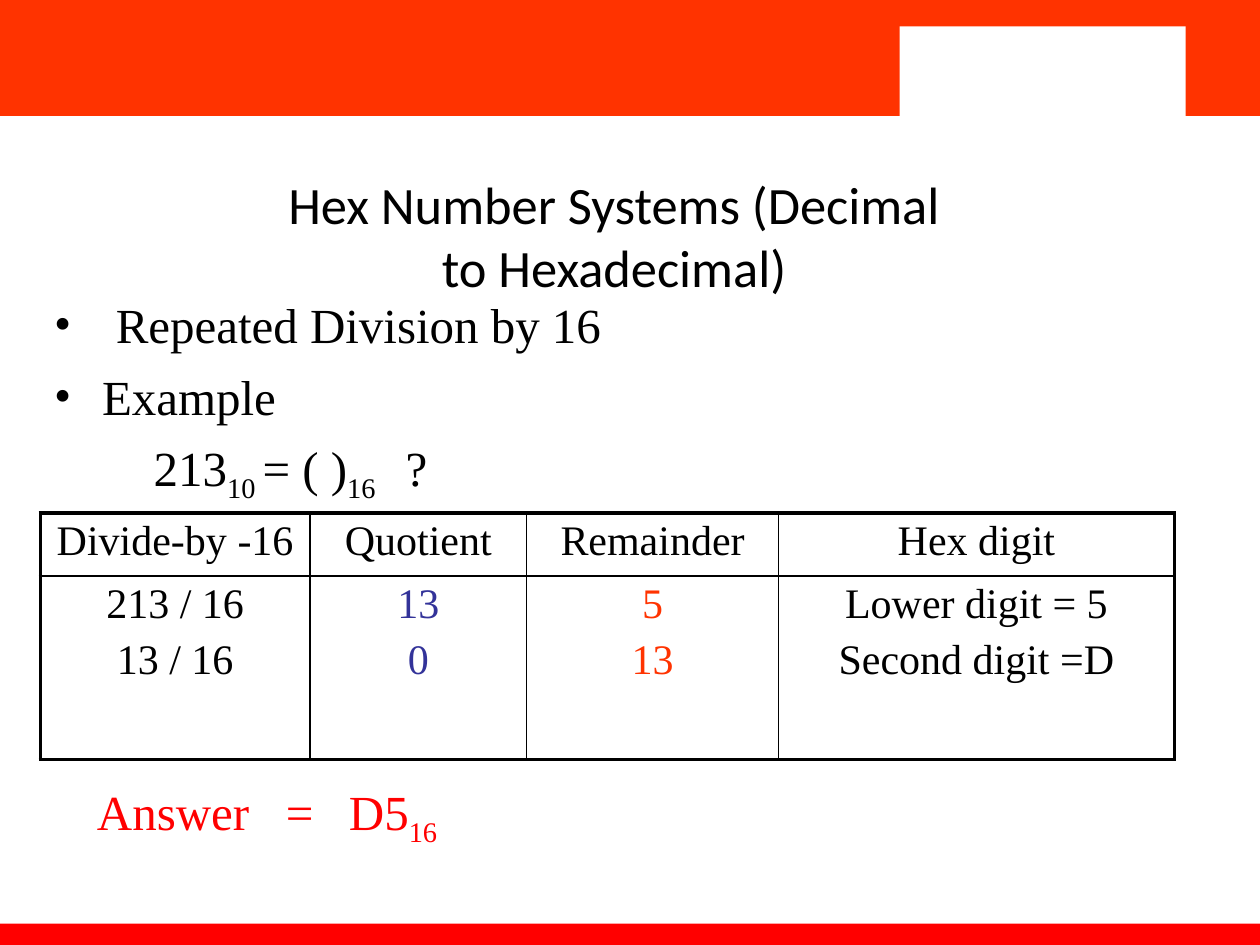
from lxml import etree
from pptx import Presentation
from pptx.dml.color import RGBColor
from pptx.enum.shapes import MSO_SHAPE
from pptx.enum.text import MSO_ANCHOR, PP_ALIGN
from pptx.oxml.ns import qn
from pptx.util import Inches, Pt

RECTANGLE = MSO_SHAPE.RECTANGLE
TOP, MIDDLE = MSO_ANCHOR.TOP, MSO_ANCHOR.MIDDLE
LEFT, CENTER = PP_ALIGN.LEFT, PP_ALIGN.CENTER
BLACK = RGBColor(0x00, 0x00, 0x00)
WHITE = RGBColor(0xFF, 0xFF, 0xFF)
ORANGE = RGBColor(0xFF, 0x33, 0x00)
RED = RGBColor(0xFF, 0x00, 0x00)
INDIGO = RGBColor(0x33, 0x33, 0x99)
SERIF, SANS = "Times New Roman", "Calibri"
THIN, THICK = 1, 2.25

BARS = [
    ((0, 0, 10, 0.92), ORANGE),
    ((0, 7.33, 10, 0.22), RED),
    ((6.72, 0, 3.28, 0.92), ORANGE),
    ((7.14, 0.21, 2.27, 0.75), WHITE),
]
COLUMNS = [
    (2.14, BLACK, ["Divide-by -16", "213 / 16", "13 / 16"]),
    (1.72, INDIGO, ["Quotient", "13", "0"]),
    (2, ORANGE, ["Remainder", "5", "13"]),
    (3.14, BLACK, ["Hex digit", "Lower digit = 5", "Second digit =D"]),
]
ROW_HEIGHTS = [0.5, 1.46]


def set_values(target, values):
    """Set every attribute named in a dict of format values."""
    for name, value in values.items():
        setattr(target, name, value)


def add_bar(page, box, color):
    """Add a plain filled rectangle without outline."""
    bar = page.shapes.add_shape(RECTANGLE, *map(Inches, box))
    bar.shadow.inherit = False
    bar.fill.solid()
    bar.fill.fore_color.rgb = color
    bar.line.fill.background()


def add_text_box(page, box, top_inset, anchor=TOP):
    """Add a wrapping text box and return its text frame."""
    frame = page.shapes.add_textbox(*map(Inches, box)).text_frame
    set_values(frame, {
        "word_wrap": True, "vertical_anchor": anchor,
        "margin_left": 0, "margin_right": 0,
        "margin_top": Inches(top_inset), "margin_bottom": 0,
    })
    return frame


def write_paragraph(frame, index, spans, size, color=BLACK, font=SERIF,
                    align=LEFT, before=0, margin=0, hanging=0):
    """Write (text, is_subscript) spans as one paragraph of a frame."""
    para = frame.add_paragraph() if index else frame.paragraphs[0]
    set_values(para, {"alignment": align, "space_before": Pt(before)})
    properties = para._p.get_or_add_pPr()
    properties.set("marL", str(Inches(margin)))
    properties.set("indent", str(Inches(-hanging)))
    if hanging:
        etree.SubElement(properties, qn("a:buFont"), typeface=font)
        etree.SubElement(properties, qn("a:buChar"), char="•")
    for text, is_subscript in spans:
        span = para.add_run()
        span.text = text
        set_values(span.font, {"name": font, "size": Pt(size)})
        span.font.color.rgb = color
        if is_subscript:
            span.font._element.set("baseline", "-25000")


def set_borders(cell, widths):
    """Draw black cell borders from a dict of side to width in points."""
    properties = cell._tc.get_or_add_tcPr()
    for position, (side, width) in enumerate(widths.items()):
        line = etree.Element(qn(f"a:ln{side}"), w=str(Pt(width)))
        fill = etree.SubElement(line, qn("a:solidFill"))
        etree.SubElement(fill, qn("a:srgbClr"), val=str(BLACK))
        properties.insert(position, line)


def fill_cell(cell, lines, color, widths):
    """Format one table cell and write its centred lines."""
    set_values(cell, {
        "margin_left": 0, "margin_right": 0,
        "margin_top": Inches(0.04), "margin_bottom": 0,
    })
    cell.fill.background()
    for index, line in enumerate(lines):
        write_paragraph(cell.text_frame, index, [(line, False)], 24, color,
                        align=CENTER, before=5.8 if index else 0)
    set_borders(cell, widths)


def add_division_table(page):
    """Add the table of division steps with a thick outer frame."""
    box = (0.32, 4.07, 9, sum(ROW_HEIGHTS))
    table = page.shapes.add_table(
        len(ROW_HEIGHTS), len(COLUMNS), *map(Inches, box)).table
    set_values(table, {"first_row": False, "horz_banding": False})
    for row, height in zip(table.rows, ROW_HEIGHTS):
        row.height = Inches(height)
    last = len(COLUMNS) - 1
    for index, (width, color, (heading, *steps)) in enumerate(COLUMNS):
        table.columns[index].width = Inches(width)
        sides = {"L": THIN if index else THICK,
                 "R": THICK if index == last else THIN}
        fill_cell(table.cell(0, index), [heading], BLACK,
                  {**sides, "T": THICK, "B": THIN})
        fill_cell(table.cell(1, index), steps, color,
                  {**sides, "T": THIN, "B": THICK})


def main():
    """Build the slide and save it."""
    deck = Presentation()
    set_values(deck, {"slide_width": Inches(10), "slide_height": Inches(7.5)})
    page = deck.slides.add_slide(deck.slide_layouts[6])
    for box, color in BARS:
        add_bar(page, box, color)

    title = add_text_box(page, (2.16, 1.35, 5.43, 1.02), 0.01, MIDDLE)
    write_paragraph(title, 0,
                    [("Hex Number Systems (Decimal to Hexadecimal)", False)],
                    30, font=SANS, align=CENTER)

    body = add_text_box(page, (0.41, 2.22, 4.39, 1.73), 0.12)
    write_paragraph(body, 0, [("Repeated Division by 16", False)], 28,
                    margin=0.51, hanging=0.49)
    write_paragraph(body, 1, [("Example", False)], 28,
                    before=7.5, margin=0.4, hanging=0.38)
    question = [("213", False), ("10 ", True), ("= ( )", False),
                ("16\t", True), ("?", False)]
    write_paragraph(body, 2, question, 28, before=6.8, margin=0.81)

    add_division_table(page)

    answer = add_text_box(page, (0.73, 6.19, 2.86, 0.49), 0.01)
    write_paragraph(answer, 0, [("Answer\t=\tD5", False), ("16", True)], 28,
                    RED, margin=0.04)
    deck.save("out.pptx")


if __name__ == "__main__":
    main()
